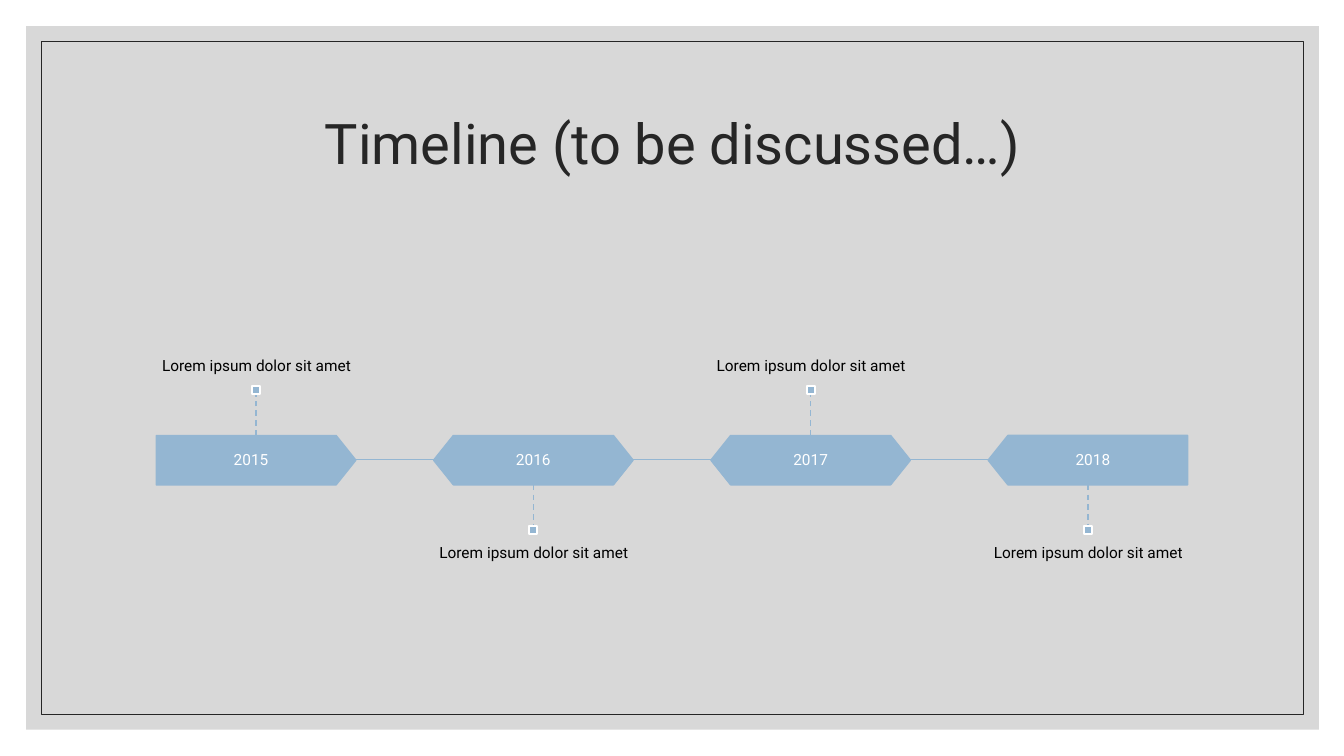
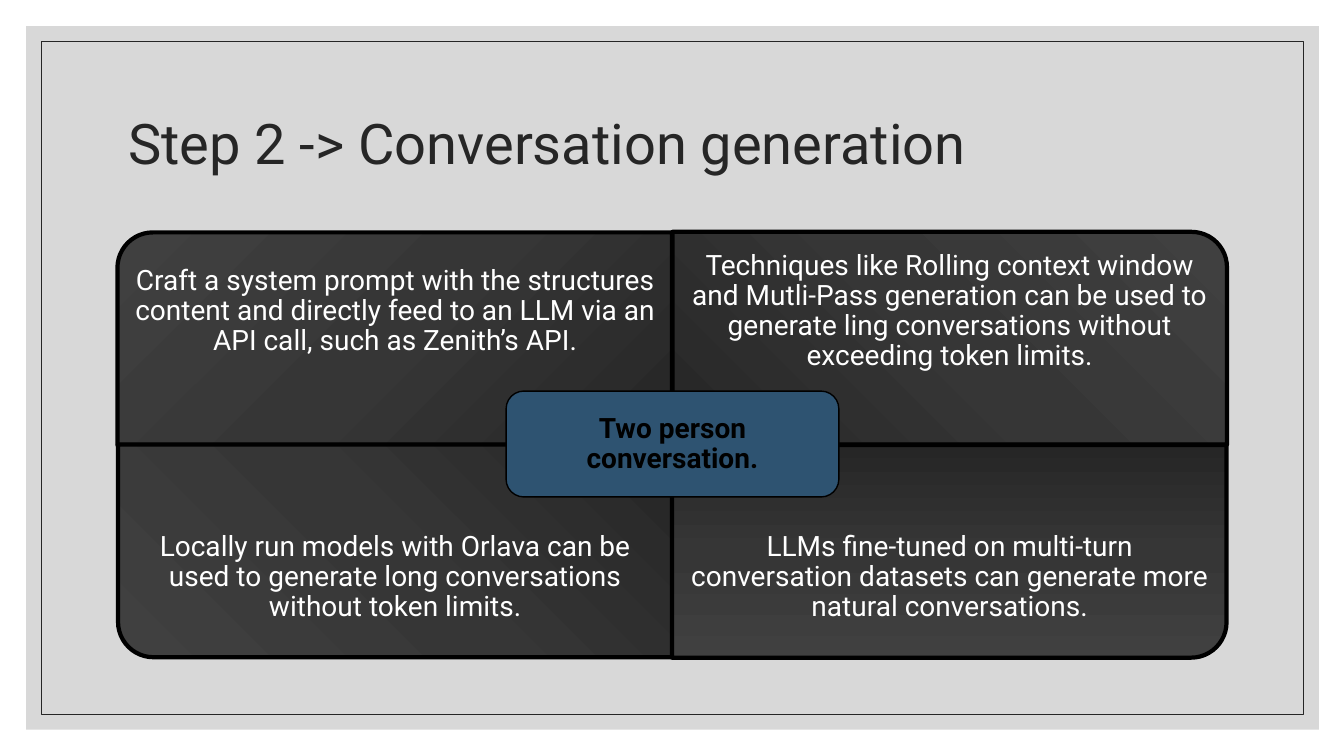
import pptx
import pptx.dml.color
import pptx.enum.dml
import pptx.enum.shapes
import pptx.enum.text
import pptx.oxml
import pptx.oxml.ns
import pptx.util

PX = 9144  # 100 px to the inch
FONT = "Roboto"
INK, BLACK, WHITE = "262626", "000000", "FFFFFF"
SKY, NAVY, GREY = "94B6D2", "2E5371", "BFBFBF"

SHAPE = pptx.enum.shapes.MSO_SHAPE
ALIGN = pptx.enum.text.PP_ALIGN
ANCHOR = pptx.enum.text.MSO_ANCHOR

MILESTONES = [(year, "Lorem ipsum dolor sit amet")
              for year in ("2015", "2016", "2017", "2018")]

# Text, rotation, and the direction in which the gradient brightens.
QUADRANTS = [
    ("Craft a system prompt with the structures content and directly feed to "
     "an LLM via an API call, such as Zenith’s API.", 270,
     '<a:path path="circle"><a:fillToRect l="100000" t="100000"/></a:path>'),
    ("Techniques like Rolling context window and Mutli-Pass generation can be "
     "used to generate ling conversations without exceeding token limits.", 0,
     '<a:lin ang="18900000" scaled="0"/>'),
    ("Locally run models with Orlava can be used to generate long "
     "conversations without token limits.", 180,
     '<a:path path="circle"><a:fillToRect l="100000" b="100000"/></a:path>'),
    ("LLMs fine-tuned on multi-turn conversation datasets can generate more "
     "natural conversations.", 90,
     '<a:lin ang="5400000" scaled="0"/>'),
]


def px(*lengths):
    return [pptx.util.Emu(length * PX) for length in lengths]


def color(hex_string):
    return pptx.dml.color.RGBColor.from_string(hex_string)


def set_line(line, hex_string, points):
    line.color.rgb = color(hex_string)
    line.width = pptx.util.Pt(points)


def add_shape(page, kind, box, fill=None, line=None, line_width=1):
    shape = page.shapes.add_shape(kind, *px(*box))
    shape.shadow.inherit = False
    if fill:
        shape.fill.solid()
        shape.fill.fore_color.rgb = color(fill)
    else:
        shape.fill.background()
    if line:
        set_line(shape.line, line, line_width)
    else:
        shape.line.fill.background()
    return shape


def add_line(page, start, end, dashed=False):
    line = page.shapes.add_connector(
        pptx.enum.shapes.MSO_CONNECTOR.STRAIGHT, *px(*start, *end))
    set_line(line.line, SKY, 1)
    if dashed:
        line.line.dash_style = pptx.enum.dml.MSO_LINE.DASH
    line.element.spPr.append(pptx.oxml.parse_xml(
        f'<a:effectLst {pptx.oxml.ns.nsdecls("a")}/>'))


def style_text(frame, size, hex_string, align, anchor, bold=False):
    frame.word_wrap = True
    frame.auto_size = pptx.enum.text.MSO_AUTO_SIZE.NONE
    frame.vertical_anchor = anchor
    para = frame.paragraphs[0]
    para.alignment = align
    para.line_spacing = 0.9
    for span in para.runs:
        span.font.name = FONT
        span.font.size = pptx.util.Pt(size)
        span.font.bold = bold
        span.font.color.rgb = color(hex_string)


def add_text(page, box, text, size, hex_string, insets,
             anchor=ANCHOR.MIDDLE, bold=False):
    """Add centred text; insets are (horizontal, vertical)."""
    frame = page.shapes.add_textbox(*px(*box)).text_frame
    frame.text = text
    frame.margin_left = frame.margin_right = px(insets[0])[0]
    frame.margin_top = frame.margin_bottom = px(insets[1])[0]
    style_text(frame, size, hex_string, ALIGN.CENTER, anchor, bold)


def move_frame_to_master(deck, page):
    """Draw the panel and its thin border, then hand them to the master."""
    panel = add_shape(page, SHAPE.RECTANGLE, (26, 26, 1282, 698), GREY)
    tint = panel.element.spPr.find(".//" + pptx.oxml.ns.qn("a:srgbClr"))
    tint.append(pptx.oxml.parse_xml(
        f'<a:alpha {pptx.oxml.ns.nsdecls("a")} val="60000"/>'))
    border = add_shape(page, SHAPE.RECTANGLE, (41, 41, 1252, 668),
                       line=INK, line_width=0.5)
    tree = deck.slide_master.shapes.element
    for position, shape in enumerate((panel, border), start=2):
        tree.insert(position, shape.element)


def add_page(deck, title, align):
    page = deck.slides.add_slide(deck.slide_layouts.get_by_name("Title Only"))
    heading = page.shapes.title
    heading.left, heading.top, heading.width, heading.height = px(117, 70, 1100, 150)
    heading.text_frame.text = title
    style_text(heading.text_frame, 40, INK, align, ANCHOR.MIDDLE)
    return page


def add_year(page, box, year, is_first, is_last):
    left, top, width, height = box
    is_end = is_first or is_last
    kind = SHAPE.PENTAGON if is_end else SHAPE.HEXAGON
    tag = add_shape(page, kind, box, SKY, SKY)
    tag.adjustments[0] = 0.4
    if is_last:
        tag.rotation = 180
    if is_end:
        label = (left + (10 if is_last else 0), top, width - 10, height)
    else:
        label = (left + 23, top + 6, width - 46, height - 11)
    add_text(page, label, year, 11, WHITE, (9, 9))


def add_callout(page, box, text, above):
    """Add a dashed stem, its square marker and a caption to a year's box."""
    left, top, width, height = box
    stem, marker, caption_width, caption_height = 41, 8, 275, 130
    center = left + width // 2
    if above:
        edge, tip = top, top - stem
        marker_top = tip - marker
        caption_top, anchor = marker_top - caption_height, ANCHOR.BOTTOM
    else:
        edge, tip = top + height, top + height + stem
        marker_top = tip
        caption_top, anchor = marker_top + marker, ANCHOR.TOP
    add_line(page, (center, edge), (center, tip), dashed=True)
    add_shape(page, SHAPE.RECTANGLE,
              (center - marker // 2, marker_top, marker, marker), SKY, WHITE, 1.5)
    add_text(page, (center - caption_width // 2, caption_top,
                    caption_width, caption_height),
             text, 11, BLACK, (0, 11), anchor)


def add_timeline(page, box):
    left, top, width, height = box
    tag_width = 198
    last = len(MILESTONES) - 1
    step = (width - tag_width) // last
    for index, (year, text) in enumerate(MILESTONES):
        tag_left = left + index * step
        tag_box = (tag_left, top, tag_width, height)
        add_year(page, tag_box, year, index == 0, index == last)
        add_callout(page, tag_box, text, above=index % 2 == 0)
        if index < last:
            middle = top + height // 2
            add_line(page, (tag_left + tag_width, middle), (tag_left + step, middle))


def set_gradient(shape, direction):
    shape.fill.gradient()
    old = shape.element.spPr.find(pptx.oxml.ns.qn("a:gradFill"))
    stops = "".join(
        f'<a:gs pos="{position}"><a:srgbClr val="{tone}"/></a:gs>'
        for position, tone in ((0, INK), (50000, "363636"), (100000, "404040")))
    new = pptx.oxml.parse_xml(
        f'<a:gradFill {pptx.oxml.ns.nsdecls("a")} rotWithShape="0">'
        f'<a:gsLst>{stops}</a:gsLst>{direction}</a:gradFill>')
    old.getparent().replace(old, new)


def add_quadrant(page, box, text, rotation, direction, at_bottom):
    left, top, width, height = box
    shape_box = box
    if rotation % 180:
        shape_box = (left + (width - height) // 2, top - (width - height) // 2,
                     height, width)
    panel = add_shape(page, SHAPE.ROUND_1_RECTANGLE, shape_box,
                      line=BLACK, line_width=3)
    panel.rotation = rotation
    set_gradient(panel, direction)
    text_height = height * 3 // 4
    text_top = top + height - text_height if at_bottom else top
    add_text(page, (left, text_top, width, text_height), text, 20, WHITE, (16, 16))


def add_matrix(page, box, center_text):
    left, top, width, height = box
    half_width, half_height = width // 2, height // 2
    for index, (text, rotation, direction) in enumerate(QUADRANTS):
        row, column = divmod(index, 2)
        cell = (left + column * half_width, top + row * half_height,
                half_width, half_height)
        add_quadrant(page, cell, text, rotation, direction, at_bottom=row == 1)
    hub_width, hub_height, inset = 330, 105, 5
    hub_left = left + (width - hub_width) // 2
    hub_top = top + (height - hub_height) // 2
    add_shape(page, SHAPE.ROUNDED_RECTANGLE,
              (hub_left, hub_top, hub_width, hub_height), NAVY, BLACK)
    add_text(page, (hub_left + inset, hub_top + inset,
                    hub_width - 2 * inset, hub_height - 2 * inset),
             center_text, 20, BLACK, (8, 8), bold=True)


def main():
    deck = pptx.Presentation()
    deck.slide_width = pptx.util.Inches(13.33)
    deck.slide_height = pptx.util.Inches(7.5)

    page = add_page(deck, "Timeline (to be discussed…)", ALIGN.CENTER)
    move_frame_to_master(deck, page)
    add_timeline(page, (155, 432, 1023, 49))

    page = add_page(deck, "Step 2 -> Conversation generation", ALIGN.LEFT)
    add_matrix(page, (117, 230, 1100, 422), "Two person conversation.")

    deck.save("out.pptx")


if __name__ == "__main__":
    main()
